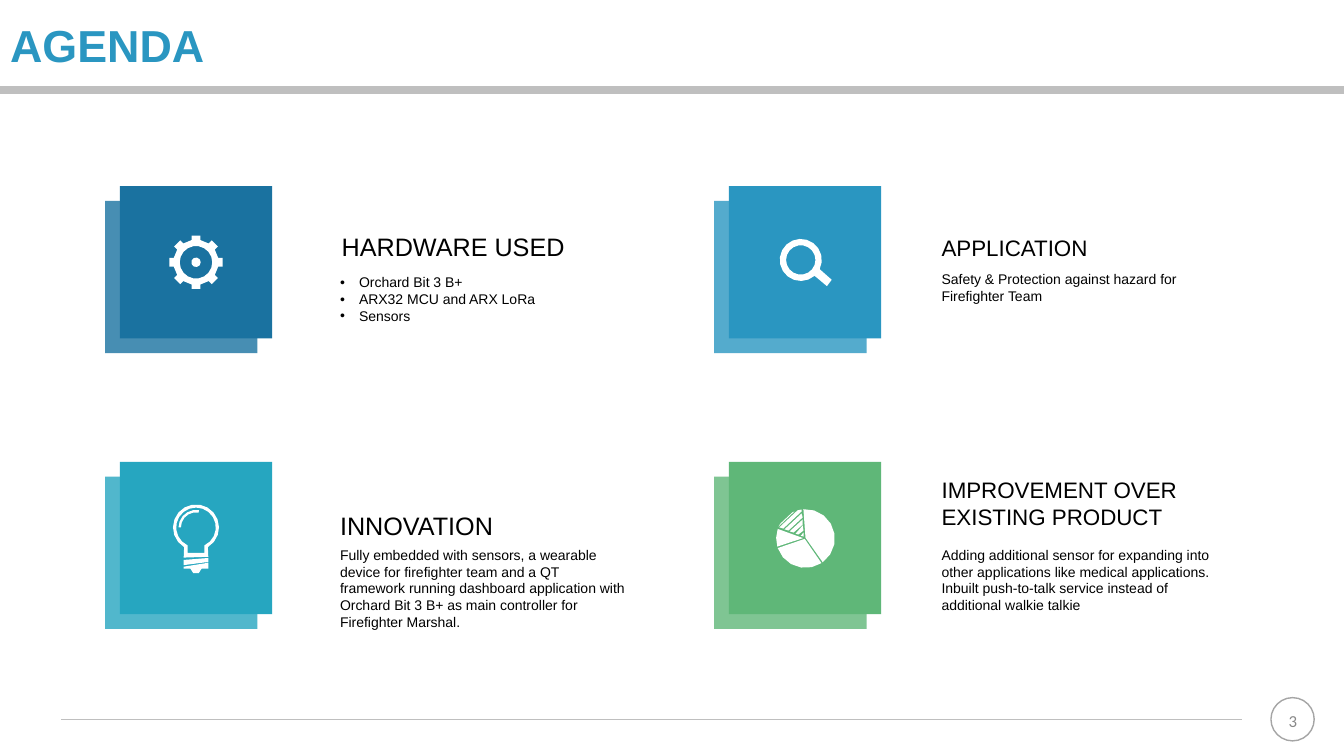
from dataclasses import dataclass
from math import cos, radians, sin

from lxml.etree import SubElement
from pptx import Presentation
from pptx.dml.color import RGBColor
from pptx.enum.shapes import MSO_CONNECTOR, MSO_SHAPE
from pptx.enum.text import MSO_ANCHOR, MSO_AUTO_SIZE, PP_ALIGN
from pptx.oxml.ns import qn
from pptx.util import Cm, Pt

Point = tuple[float, float]
Ring = list[Point]
Mark = list[Ring]

SIDE = 3.84
STEP = 0.37
LEFT, TOP = 3.02, 4.69
COL, ROW = 15.35, 6.95


@dataclass
class Label:
    left: float
    top: float
    width: float
    height: float
    text: str
    size: int
    listed: bool = False


@dataclass
class Card:
    col: int
    row: int
    color: str
    head: Label
    body: Label
    marks: list[Mark]


def tint(text: str) -> RGBColor:
    return RGBColor.from_string(text)


def arc(x: float, y: float, r: float, start: float, end: float) -> Ring:
    count = max(2, round(abs(end - start) / 20))
    turns = [radians(start + (end - start) * i / count) for i in range(count + 1)]
    return [(x + r * cos(t), y + r * sin(t)) for t in turns]


def disc(x: float, y: float, r: float) -> Ring:
    return arc(x, y, r, 0, 360)[:-1]


def gear() -> Mark:
    tooth = [(0.56, -0.11), (0.67, -0.11), (0.67, 0.11), (0.56, 0.11)]
    rim = []
    for k in range(8):
        c, s = cos(radians(45 * k)), sin(radians(45 * k))
        rim += [(x * c - y * s, x * s + y * c) for x, y in tooth]
    return [rim, disc(0, 0, 0.41), disc(0, 0, 0.12)[::2]]


def lens() -> Mark:
    x, y = -0.11, -0.06
    return [arc(x, y, 0.53, 49, 386) + [(0.67, 0.44), (0.55, 0.60)],
            disc(x, y, 0.37)]


def bulb() -> Mark:
    y = -0.27
    glass = arc(0, y, 0.58, 121, 419) + [(0.31, 0.47), (-0.31, 0.49)]
    inside = arc(0, y, 0.5, 115, 425) + [(0.21, 0.37), (-0.21, 0.37)]
    shine = arc(0, y, 0.44, 180, 280) + arc(0, y, 0.38, 280, 180)
    band = [(0.31, 0.5), (0.31, 0.6), (-0.31, 0.68), (-0.31, 0.55)]
    base = [(0.31, 0.62), (0.31, 0.77), (0.14, 0.77), (0.07, 0.88),
            (-0.07, 0.88), (-0.14, 0.77), (-0.31, 0.77), (-0.31, 0.72)]
    return [glass, inside, shine, band, base]


def pie() -> Mark:
    return [[(0.01, -0.01)] + arc(0.01, 0.01, 0.74, 266, 414),
            [(-0.01, 0.02)] + arc(0.01, 0.01, 0.74, 57, 161),
            [(-0.05, 0)] + arc(0.01, 0.01, 0.74, 164, 199)]


def hatch() -> Mark:
    return [[(-0.04, -0.14), (-0.04, -0.04), (-0.11, -0.06)],
            [(-0.06, -0.32), (-0.04, -0.19), (-0.17, -0.09), (-0.24, -0.11)],
            [(-0.06, -0.47), (-0.06, -0.34), (-0.29, -0.14), (-0.39, -0.17)],
            [(-0.09, -0.62), (-0.06, -0.52), (-0.42, -0.19), (-0.52, -0.22)],
            [(-0.27, -0.67), (-0.67, -0.29), (-0.62, -0.37), (-0.32, -0.65)],
            [(-0.09, -0.72), (-0.09, -0.67), (-0.55, -0.24), (-0.65, -0.27), (-0.19, -0.7)]]


CARDS = [
    Card(0, 0, "1A72A0", Label(8.36, 5.7, 7.37, 1.02, "HARDWARE USED", 18),
         Label(8.32, 6.78, 7.75, 1.55,
               "Orchard Bit 3 B+\nARX32 MCU and ARX LoRa\nSensors", 10, True),
         [gear()]),
    Card(0, 1, "26A6C0", Label(8.32, 12.73, 7.37, 1.02, "INNOVATION", 18),
         Label(8.32, 13.64, 7.75, 2.39,
               "Fully embedded with sensors, a wearable device for firefighter team "
               "and a QT framework running dashboard application with "
               "Orchard Bit 3 B+ as main controller for Firefighter Marshal.", 10),
         [bulb()]),
    Card(1, 0, "2A96C1", Label(23.48, 5.77, 7.37, 0.94, "APPLICATION", 16),
         Label(23.48, 6.69, 7.75, 1.12,
               "Safety & Protection against hazard for Firefighter Team", 10),
         [lens()]),
    Card(1, 1, "5FB778",
         Label(23.48, 11.88, 7.37, 1.63, "IMPROVEMENT OVER EXISTING PRODUCT", 16),
         Label(23.48, 13.64, 7.75, 1.96,
               "Adding additional sensor for expanding into other applications like "
               "medical applications. Inbuilt push-to-talk service instead of "
               "additional walkie talkie", 10),
         [pie(), hatch()]),
]


def paint(shape, color: str) -> None:
    shape.shadow.inherit = False
    shape.fill.solid()
    shape.fill.fore_color.rgb = tint(color)
    shape.line.fill.background()


def block(slide, x: float, y: float, w: float, h: float, color: str):
    shape = slide.shapes.add_shape(MSO_SHAPE.RECTANGLE, Cm(x), Cm(y), Cm(w), Cm(h))
    paint(shape, color)
    return shape


def style(frame, size: int, color: str, font: str = "Arial", bold: bool = False) -> None:
    frame.word_wrap = True
    for line in frame.paragraphs:
        for run in line.runs:
            run.font.name, run.font.size, run.font.bold = font, Pt(size), bold
            run.font.color.rgb = tint(color)


def write(slide, label: Label):
    box = slide.shapes.add_textbox(Cm(label.left), Cm(label.top),
                                   Cm(label.width), Cm(label.height))
    frame = box.text_frame
    frame.text = label.text
    if label.listed:
        for line in frame.paragraphs:
            props = line._p.get_or_add_pPr()
            props.set("marL", str(Cm(0.48)))
            props.set("indent", str(-Cm(0.48)))
            SubElement(props, qn("a:buFont")).set("typeface", "Arial")
            SubElement(props, qn("a:buChar")).set("char", "•")
    style(frame, label.size, "000000")
    frame.auto_size = MSO_AUTO_SIZE.SHAPE_TO_FIT_TEXT
    return box


def draw(slide, mark: Mark, x: float, y: float) -> None:
    rings = [[(px * 1000, py * 1000) for px, py in ring] for ring in mark]
    pen = slide.shapes.build_freeform(*rings[0][0], scale=Cm(1) / 1000)
    for i, ring in enumerate(rings):
        if i:
            pen.move_to(*ring[0])
        pen.add_line_segments(ring[1:], close=True)
    paint(pen.convert_to_shape(Cm(x), Cm(y)), "FFFFFF")


def place(slide, card: Card) -> None:
    x, y = LEFT + card.col * COL, TOP + card.row * ROW
    write(slide, card.body)
    write(slide, card.head)
    block(slide, x, y, SIDE, SIDE, card.color)
    shade = block(slide, x - STEP, y + STEP, SIDE, SIDE, card.color)
    SubElement(shade.element.find(".//" + qn("a:srgbClr")), qn("a:alpha")).set("val", "80000")
    for mark in card.marks:
        draw(slide, mark, x + SIDE / 2, y + SIDE / 2)


def main() -> None:
    deck = Presentation()
    deck.slide_width, deck.slide_height = Cm(33.87), Cm(19.05)
    slide = deck.slides.add_slide(deck.slide_layouts[5])

    rule = slide.shapes.add_connector(MSO_CONNECTOR.STRAIGHT,
                                      Cm(1.54), Cm(18.13), Cm(31.29), Cm(18.13))
    rule.line.color.rgb, rule.line.width = tint("BFBFBF"), Pt(0.75)
    SubElement(rule.element.spPr, qn("a:effectLst"))
    badge = slide.shapes.add_shape(MSO_SHAPE.OVAL, Cm(32.03), Cm(17.58), Cm(1.09), Cm(1.09))
    badge.shadow.inherit = False
    badge.fill.background()
    badge.line.color.rgb, badge.line.width = tint("A5A5A5"), Pt(1)
    block(slide, 0, 2.17, 33.87, 0.2, "BFBFBF")

    title = slide.shapes.title
    title.left, title.top, title.width, title.height = Cm(0), Cm(0.32), Cm(33.87), Cm(1.63)
    frame = title.text_frame
    frame.text = "AGENDA"
    frame.vertical_anchor = MSO_ANCHOR.TOP
    frame.auto_size = MSO_AUTO_SIZE.SHAPE_TO_FIT_TEXT
    frame.paragraphs[0].alignment = PP_ALIGN.LEFT
    style(frame, 32, "2A96C1", bold=True)

    for card in CARDS:
        place(slide, card)

    count = write(slide, Label(31.93, 17.65, 1.3, 1.02, "3", 12)).text_frame
    count.auto_size = MSO_AUTO_SIZE.NONE
    count.vertical_anchor = MSO_ANCHOR.MIDDLE
    count.paragraphs[0].alignment = PP_ALIGN.CENTER
    style(count, 12, "888888", "Calibri")
    deck.save("out.pptx")


if __name__ == "__main__":
    main()
